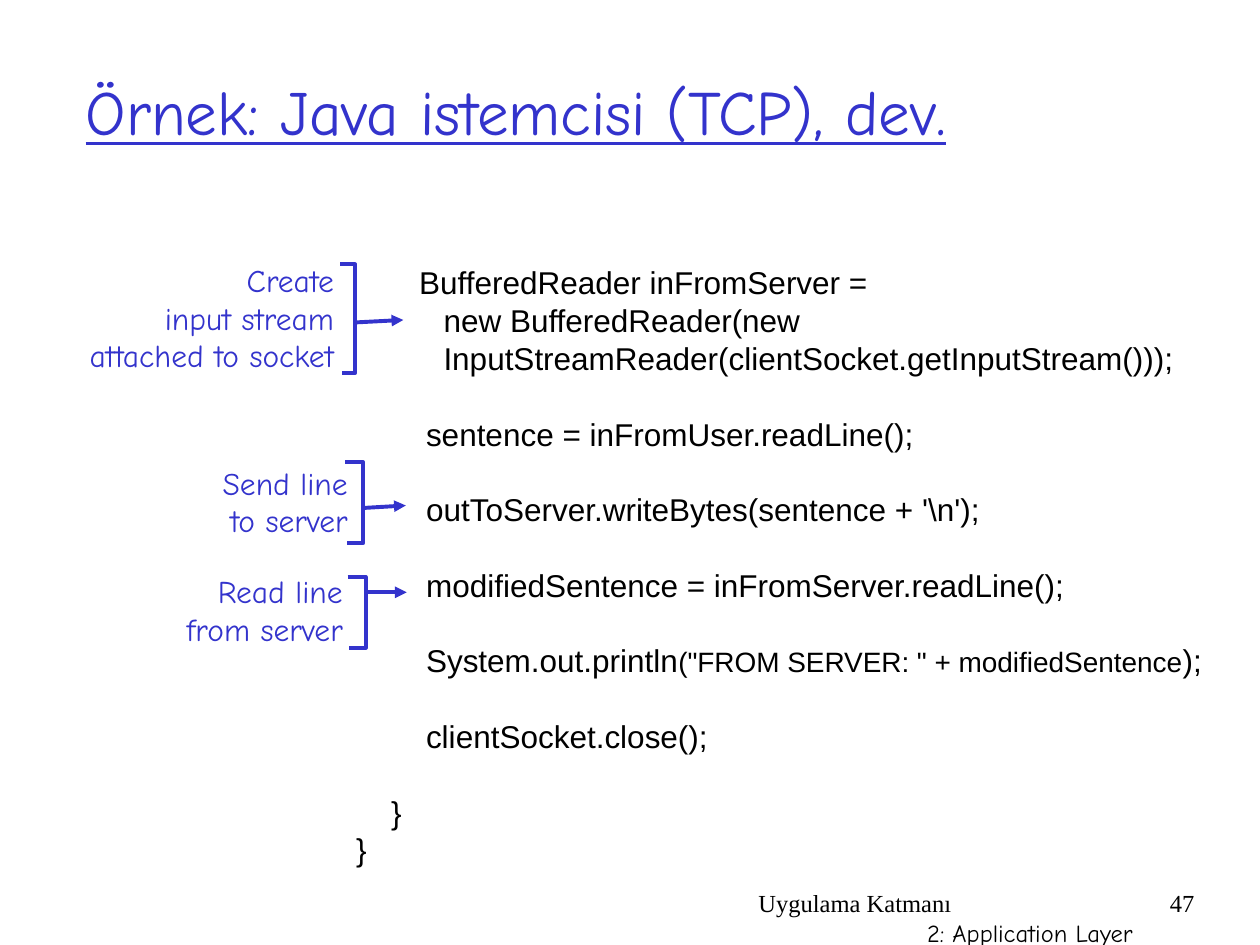
from pptx import Presentation
from pptx.dml.color import RGBColor
from pptx.enum.text import MSO_ANCHOR as Anchor, MSO_AUTO_SIZE as Fit, PP_ALIGN as Align
from pptx.enum.shapes import MSO_CONNECTOR as Link
from pptx.oxml.ns import qn
from pptx.util import Cm, Pt
from lxml.etree import SubElement as Sub

BLUE = RGBColor(0x33, 0x33, 0xCC)
BLACK = RGBColor(0, 0, 0)
HAND, SANS, SERIF = "Comic Neue", "Arial", "Times New Roman"
PITCH = Pt(21.6)


class Deck:
    def __init__(self):
        self.prs = Presentation()
        self.prs.slide_width, self.prs.slide_height = Cm(25.4), Cm(19.05)
        self.slide = self.prs.slides.add_slide(self.prs.slide_layouts[5])
        self.shapes = self.slide.shapes

    def style(self, run, face, size, color):
        font = run.font
        font.name, font.size, font.color.rgb = face, Pt(size), color

    def title(self, text, x, y, w, h):
        head = self.shapes.title
        head.left, head.top, head.width, head.height = map(Cm, (x, y, w, h))
        frame = head.text_frame
        frame.text = text
        frame.vertical_anchor = Anchor.MIDDLE
        para = frame.paragraphs[0]
        para.alignment = Align.LEFT
        self.style(para.runs[0], HAND, 36, BLUE)
        para.runs[0].font.underline = True

    def box(self, x, y, w, h, wrap=True, fit=False):
        frame = self.shapes.add_textbox(*map(Cm, (x, y, w, h))).text_frame
        frame.word_wrap = wrap
        if fit:
            frame.auto_size = Fit.SHAPE_TO_FIT_TEXT
            frame.vertical_anchor = Anchor.MIDDLE
        return frame

    def lines(self, frame, rows):
        frame.text = "\n".join(rows)
        for para in frame.paragraphs:
            para.line_spacing = PITCH
        return frame.paragraphs

    def label(self, rows, x, y, w, h, wrap):
        for para in self.lines(self.box(x, y, w, h, wrap, True), rows):
            para.alignment = Align.RIGHT
            self.style(para.runs[0], HAND, 18, BLUE)

    def code(self, rows, gaps, x, y, w, h):
        frame = self.box(x, y, w, h, False, True)
        for row, para in enumerate(self.lines(frame, ["" for _ in rows])):
            if row in gaps:
                para.space_before = PITCH
            for text, face, size in rows[row]:
                run = para.add_run()
                run.text = text
                self.style(run, face, size, BLACK)

    def note(self, rows, x, y, w, h):
        frame = self.box(x, y, w, h)
        frame.text = "\n".join(text for text, _, _ in rows)
        for para, (_, face, align) in zip(frame.paragraphs, rows):
            para.alignment = align
            self.style(para.runs[0], face, 14, BLACK)

    def pen(self, line):
        line.color.rgb = BLUE
        line.width = Pt(2.25)

    def brace(self, left, top, right, foot):
        form = self.shapes.build_freeform(Cm(left), Cm(top))
        ends = [(right, top), (right, foot), (left + 0.03, foot)]
        form.add_line_segments([(Cm(x), Cm(y)) for x, y in ends], close=False)
        shape = form.convert_to_shape()
        shape.shadow.inherit = False
        shape.fill.background()
        self.pen(shape.line)

    def arrow(self, *ends):
        link = self.shapes.add_connector(Link.STRAIGHT, *map(Cm, ends))
        self.pen(link.line)
        Sub(link.line._get_or_add_ln(), qn("a:tailEnd"), type="triangle")
        Sub(link._element.spPr, qn("a:effectLst"))


CODE = [
    "          new BufferedReader(new",
    "          InputStreamReader(clientSocket.getInputStream()));",
    "        sentence = inFromUser.readLine();",
    "        outToServer.writeBytes(sentence + '\\n');",
    "        modifiedSentence = inFromServer.readLine();",
    "        clientSocket.close();",
    "    }",
    "}",
]
FIRST = [("        ", SERIF, 18), ("BufferedReader inFromServer =", SANS, 18)]
PRINT = [
    ("        System.out.println", SANS, 18),
    ('("FROM SERVER: " + modifiedSentence', SANS, 16),
    (");", SANS, 18),
]
LABELS = [
    (["Create", "input stream", "attached to socket"], 0.33, 5.13, 6.65, 2.54, True),
    (["Send line", "to server"], 4.24, 9.22, 3.02, 1.78, False),
    (["Read line", "from server"], 3.48, 11.4, 3.68, 1.78, False),
]
MARKS = [
    ((6.86, 5.33, 7.16, 7.52), (7.16, 6.5, 8.13, 6.45)),
    ((6.96, 9.32, 7.32, 10.95), (7.32, 10.24, 8.18, 10.19)),
    ((7.01, 11.63, 7.37, 13.06), (7.39, 11.94, 8.2, 11.94)),
]


def main():
    deck = Deck()
    deck.note([("Uygulama Katmanı", SERIF, Align.LEFT),
               ("2: Application Layer", HAND, Align.RIGHT)], 15.04, 17.78, 8.05, 1.27)
    deck.note([("47", SERIF, Align.RIGHT)], 23.06, 17.78, 1.27, 1.27)
    deck.title("Örnek: Java istemcisi (TCP), dev.", 1.47, 0.64, 21.59, 3.18)
    rows = [[(text, SANS, 18)] for text in CODE]
    rows = [FIRST] + rows[:5] + [PRINT] + rows[5:]
    deck.code(rows, range(3, 9), 6.93, 5.18, 17.73, 12.45)
    for item in LABELS:
        deck.label(*item)
    for brace, arrow in MARKS:
        deck.brace(*brace)
        deck.arrow(*arrow)
    deck.prs.save("out.pptx")


if __name__ == "__main__":
    main()
